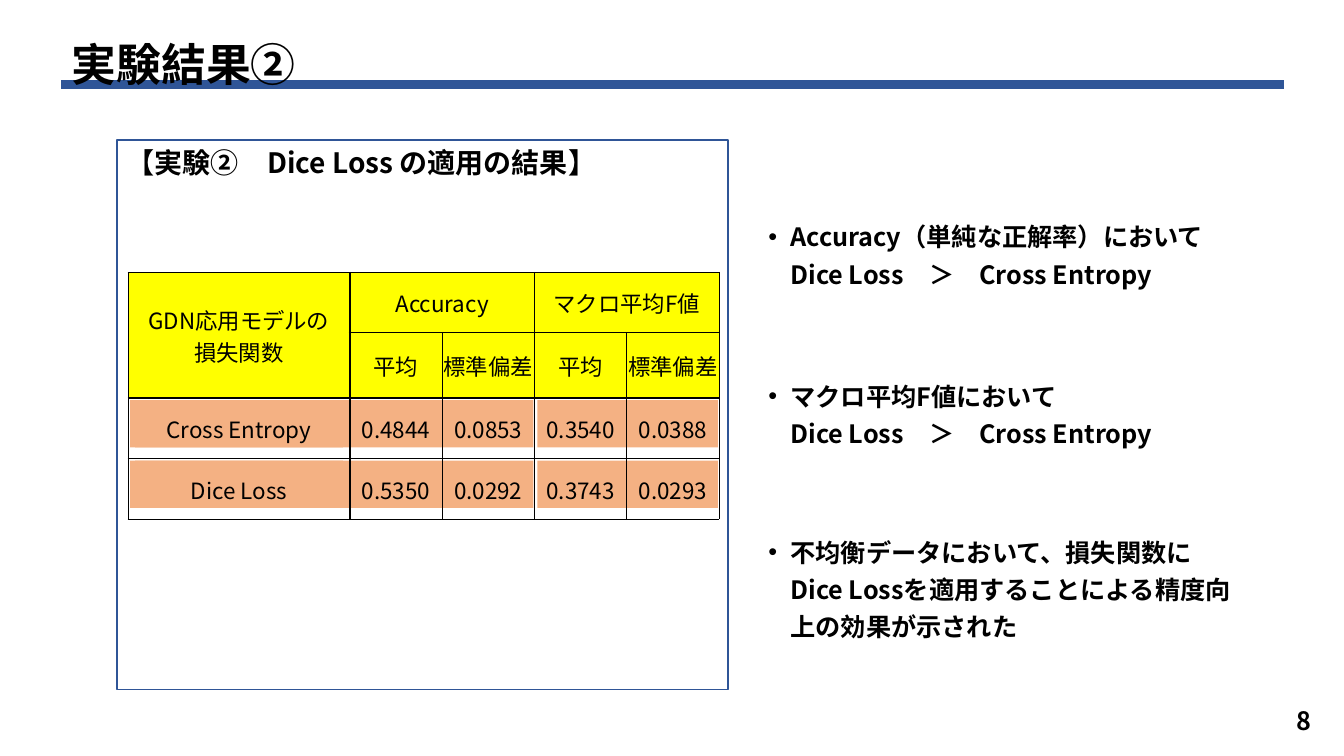
import pptx
import pptx.util
import pptx.dml.color
import pptx.enum.shapes
import pptx.enum.text
import pptx.oxml
import pptx.oxml.ns
import lxml.etree

FONT = "Noto Sans CJK JP"
BLACK, BLUE, YELLOW, ORANGE = "000000", "2F5597", "FFFF00", "F4B183"
ANCHOR = pptx.enum.text.MSO_ANCHOR
ALIGN = pptx.enum.text.PP_ALIGN
RECTANGLE = pptx.enum.shapes.MSO_SHAPE.RECTANGLE
inches = pptx.util.Inches

TITLE = "実験結果②"
PANEL_CAPTION = "【実験②\u3000Dice Loss の適用の結果】"
PAGE_NUMBER = "8"
COMPARISON = "Dice Loss\u3000＞\u3000Cross Entropy"
FINDINGS = [  # text, top, height
    ("Accuracy（単純な正解率）において\n" + COMPARISON, 2.09, 0.82),
    ("マクロ平均F値において\n" + COMPARISON, 3.67, 0.82),
    ("不均衡データにおいて、損失関数にDice Lossを適用することによる精度向上の効果が示された", 5.37, 0.88),
]
TABLE_ROWS = [
    ["GDN応用モデルの\n損失関数", "Accuracy", "", "マクロ平均F値", ""],
    ["", "平均", "標準偏差", "平均", "標準偏差"],
    ["Cross Entropy", "0.4844", "0.0853", "0.3540", "0.0388"],
    ["Dice Loss", "0.5350", "0.0292", "0.3743", "0.0293"],
]
MERGES = [((0, 0), (1, 0)), ((0, 1), (0, 2)), ((0, 3), (0, 4))]
HEADER_ROWS = 2
TABLE_LEFT, TABLE_TOP = 1.27, 2.7
COLUMN_WIDTHS = [2.2] + [0.915] * 4
ROW_HEIGHTS = [0.6, 0.65, 0.6, 0.6]
BAND_TOPS = (3.97, 4.57)
BAND_SPANS = [(1.34, 3.95), (1.29, 2.11), (5.33, 1.79)]  # left, width
BAND_HEIGHT = 0.47


def color(value):
    """Turn a hex string into a colour."""
    return pptx.dml.color.RGBColor.from_string(value)


def place(shape, left, top, width, height):
    """Move and size a shape, in inches."""
    shape.left, shape.top = inches(left), inches(top)
    shape.width, shape.height = inches(width), inches(height)


def write(frame, text, size=18, bold=True, align=ALIGN.LEFT, anchor=ANCHOR.MIDDLE, spacing=1.0):
    """Put one formatted paragraph into a text frame and return it."""
    frame.word_wrap = True
    frame.vertical_anchor = anchor
    paragraph = frame.paragraphs[0]
    paragraph.text = text
    paragraph.alignment = align
    paragraph.line_spacing = spacing
    paragraph.space_before = pptx.util.Pt(0)
    for run in paragraph.runs:
        run.font.size, run.font.bold, run.font.name = pptx.util.Pt(size), bold, FONT
        run.font.color.rgb = color(BLACK)
        east_asian = lxml.etree.SubElement(run.font._element, pptx.oxml.ns.qn("a:ea"))
        east_asian.set("typeface", FONT)
    return paragraph


def add_bullet(paragraph):
    """Give a paragraph a round bullet with a hanging indent."""
    properties = paragraph._p.get_or_add_pPr()
    properties.set("marL", str(inches(0.31)))
    properties.set("indent", str(inches(-0.22)))
    bullet = lxml.etree.SubElement(properties, pptx.oxml.ns.qn("a:buChar"))
    bullet.set("char", "•")


def add_rectangle(slide, box, fill=None, line=None):
    """Draw a rectangle with an optional fill and outline."""
    shape = slide.shapes.add_shape(RECTANGLE, *map(inches, box))
    shape.shadow.inherit = False
    if fill:
        shape.fill.solid()
        shape.fill.fore_color.rgb = color(fill)
    else:
        shape.fill.background()
    if line:
        shape.line.color.rgb = color(line)
        shape.line.width = pptx.util.Pt(1)
    else:
        shape.line.fill.background()
    return shape


def set_borders(cell, widths):
    """Draw black cell borders, widths in points by side tag."""
    properties = cell._tc.get_or_add_tcPr()
    for index, (side, width) in enumerate(widths.items()):
        border = pptx.oxml.parse_xml(
            f'<a:{side} {pptx.oxml.ns.nsdecls("a")} w="{pptx.util.Pt(width)}">'
            f'<a:solidFill><a:srgbClr val="{BLACK}"/></a:solidFill></a:{side}>')
        properties.insert(index, border)


def add_results_table(slide):
    """Build the table of scores by loss function."""
    frame = slide.shapes.add_table(
        len(TABLE_ROWS), len(COLUMN_WIDTHS), inches(TABLE_LEFT), inches(TABLE_TOP),
        inches(sum(COLUMN_WIDTHS)), inches(sum(ROW_HEIGHTS)))
    table = frame.table
    table.first_row = table.horz_banding = False
    for column, width in zip(table.columns, COLUMN_WIDTHS):
        column.width = inches(width)
    for row, height in zip(table.rows, ROW_HEIGHTS):
        row.height = inches(height)
    for start, end in MERGES:
        table.cell(*start).merge(table.cell(*end))
    for r, texts in enumerate(TABLE_ROWS):
        for c, text in enumerate(texts):
            cell = table.cell(r, c)
            cell.margin_left = cell.margin_right = cell.margin_top = inches(0.01)
            cell.margin_bottom = 0
            cell.vertical_anchor = ANCHOR.MIDDLE
            if r < HEADER_ROWS:
                cell.fill.solid()
                cell.fill.fore_color.rgb = color(YELLOW)
            else:
                cell.fill.background()
            ends_header = r == HEADER_ROWS - 1 or (r, c) == (0, 0)
            set_borders(cell, {
                "lnL": 2 if c == 1 else 0.5, "lnR": 2 if c == 0 else 0.5,
                "lnT": 2 if r == HEADER_ROWS else 0.5, "lnB": 2 if ends_header else 0.5})
            if text:
                write(cell.text_frame, text, size=16, bold=False, align=ALIGN.CENTER)
                cell.text_frame.word_wrap = None


def add_title(slide):
    """Draw the rule under the title and set the title above it."""
    rule = slide.shapes.add_connector(
        pptx.enum.shapes.MSO_CONNECTOR.STRAIGHT, *map(inches, (0.61, 0.84, 12.73, 0.84)))
    rule.line.color.rgb = color(BLUE)
    rule.line.width = pptx.util.Pt(6)
    lxml.etree.SubElement(rule.element.spPr, pptx.oxml.ns.qn("a:effectLst"))
    title = slide.shapes.title
    place(title, 0.61, 0.05, 9.32, 0.8)
    title.text_frame.auto_size = pptx.enum.text.MSO_AUTO_SIZE.NONE
    write(title.text_frame, TITLE, size=32, anchor=ANCHOR.TOP, spacing=1.5)
    rule.element.addnext(title.element)


def add_findings(slide):
    """Fill body placeholders with the findings and drop the spare one."""
    bodies = [shape for shape in slide.placeholders if shape.placeholder_format.idx > 0]
    for body, (text, top, height) in zip(bodies, FINDINGS):
        place(body, 7.43, top, 4.99, height)
        body.text_frame.auto_size = pptx.enum.text.MSO_AUTO_SIZE.NONE
        add_bullet(write(body.text_frame, text, spacing=1.23))
    for spare in bodies[len(FINDINGS):]:
        spare.element.getparent().remove(spare.element)


def main():
    """Build and save the slide."""
    presentation = pptx.Presentation()
    presentation.slide_width, presentation.slide_height = inches(13.33), inches(7.5)
    slide = presentation.slides.add_slide(presentation.slide_layouts.get_by_name("Comparison"))
    add_findings(slide)
    for left, width in BAND_SPANS:
        for top in BAND_TOPS:
            add_rectangle(slide, (left, top, width, BAND_HEIGHT), fill=ORANGE)
    add_results_table(slide)
    panel = add_rectangle(slide, (1.16, 1.39, 6.06, 5.45), line=BLUE)
    write(panel.text_frame, PANEL_CAPTION, size=20, anchor=ANCHOR.TOP)
    number = slide.shapes.add_textbox(*map(inches, (10.1, 6.95, 3, 0.4)))
    write(number.text_frame, PAGE_NUMBER, align=ALIGN.RIGHT)
    add_title(slide)
    presentation.save("out.pptx")


main()
